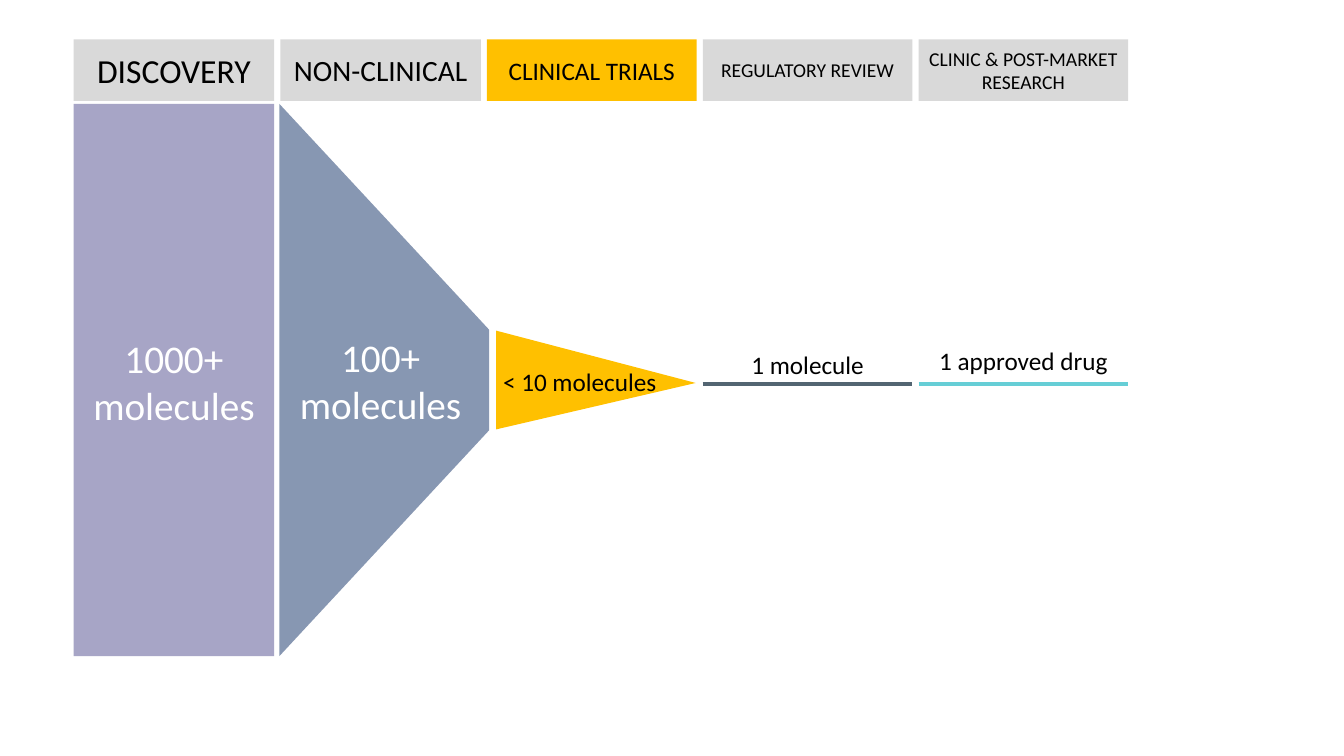
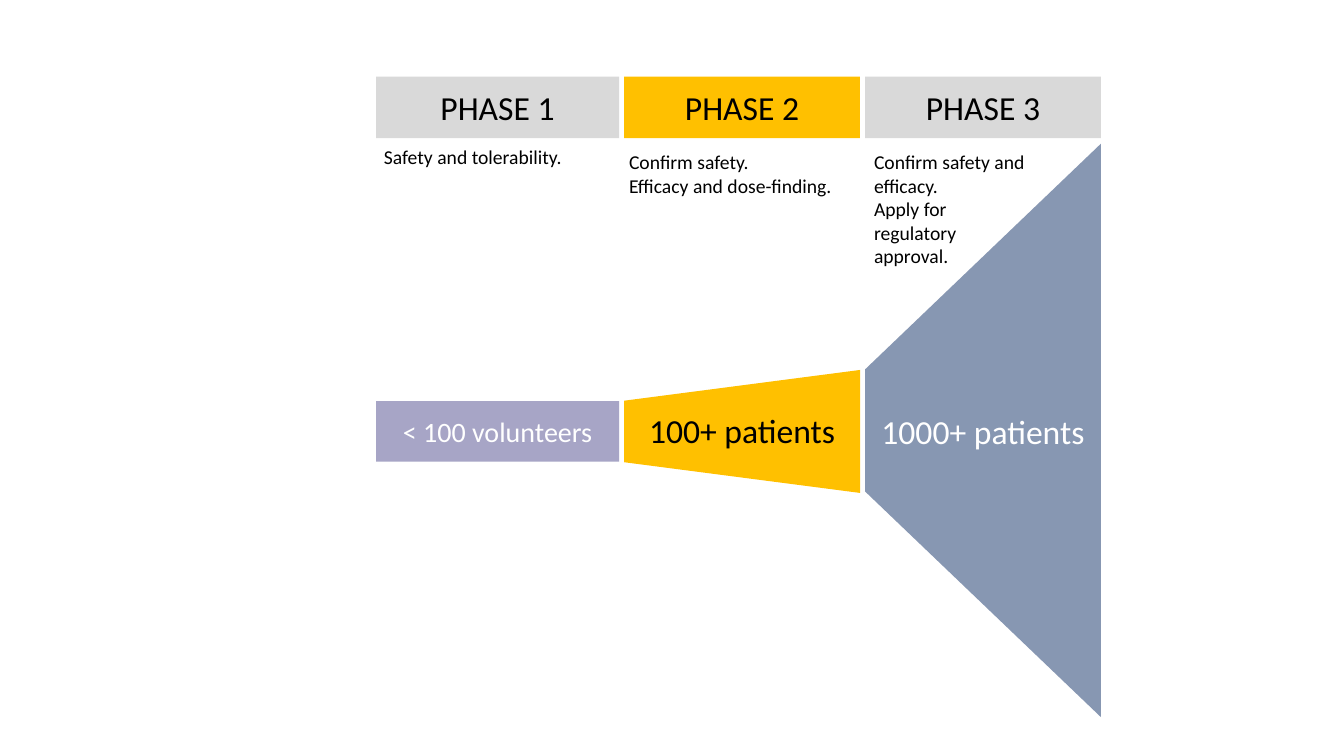
import pptx
import pptx.util
import pptx.dml.color
import pptx.enum.shapes
import pptx.enum.text

Inches = pptx.util.Inches
RGB = pptx.dml.color.RGBColor
SHAPE = pptx.enum.shapes.MSO_SHAPE
ALIGN = pptx.enum.text.PP_ALIGN
ANCHOR = pptx.enum.text.MSO_ANCHOR

BLACK = RGB(0x00, 0x00, 0x00)
WHITE = RGB(0xFF, 0xFF, 0xFF)
GREY = RGB(0xD9, 0xD9, 0xD9)
AMBER = RGB(0xFF, 0xC0, 0x00)
LILAC = RGB(0xA7, 0xA5, 0xC6)
BLUE = RGB(0x87, 0x97, 0xB2)
SLATE = RGB(0x53, 0x65, 0x72)
TEAL = RGB(0x66, 0xCE, 0xD6)
FONT = "Calibri"
HEADER_H = 0.61

# text, width, size, fill
STAGES = [
    ("DISCOVERY", 1.99, 24, GREY),
    ("NON-CLINICAL", 1.99, 21, GREY),
    ("CLINICAL TRIALS", 2.08, 18, AMBER),
    ("REGULATORY REVIEW", 2.08, 14, GREY),
    ("CLINIC & POST-MARKET RESEARCH", 2.08, 14, GREY),
]
STAGE_LABELS = [
    ("1000+\nmolecules", 28, WHITE, 3.78, 0),
    ("100+\nmolecules", 28, WHITE, 3.77, 0),
    ("< 10 molecules", 18, BLACK, 3.78, -0.12),
    ("1 molecule", 18, BLACK, 3.62, 0),
    ("1 approved drug", 18, BLACK, 3.58, 0),
]
PHASES = [
    ("PHASE 1", 2.41, 24, GREY),
    ("PHASE 2", 2.34, 24, AMBER),
    ("PHASE 3", 2.34, 24, GREY),
]
PHASE_LABELS = [
    ("< 100 volunteers", 20, WHITE, 4.28, 0),
    ("100+ patients", 24, BLACK, 4.27, 0),
    ("1000+ patients", 24, WHITE, 4.28, 0),
]
PHASE_NOTES = [
    ("Safety and tolerability.", 3.71, 1.39, 2.3, 0.34),
    ("Confirm safety.\nEfficacy and dose-finding.", 6.14, 1.44, 2.35, 0.57),
    ("Confirm safety and efficacy.\nApply for regulatory approval.", 8.57, 1.44, 1.72, 1.28),
]


def write(sp, text, size, color, align=ALIGN.CENTER, anchor=ANCHOR.MIDDLE, wrap=True):
    tf = sp.text_frame
    tf.text = text
    tf.word_wrap = wrap
    tf.vertical_anchor = anchor
    for p in tf.paragraphs:
        p.alignment = align
        for r in p.runs:
            r.font.name = FONT
            r.font.size = pptx.util.Pt(size)
            r.font.color.rgb = color


def add_block(s, kind, left, top, width, height, fill):
    sp = s.shapes.add_shape(kind, Inches(left), Inches(top), Inches(width), Inches(height))
    sp.shadow.inherit = False
    sp.fill.solid()
    sp.fill.fore_color.rgb = fill
    sp.line.fill.background()
    return sp


def add_wedge(s, kind, left, width, middle, height, turn, adj, fill):
    sp = add_block(s, kind, left + (width - height) / 2, middle - width / 2, height, width, fill)
    sp.rotation = turn
    sp.adjustments[0] = adj


def add_text(s, left, top, width, height):
    return s.shapes.add_textbox(Inches(left), Inches(top), Inches(width), Inches(height))


def add_headers(s, headers, left, top, gap):
    columns = []
    for text, width, size, fill in headers:
        sp = add_block(s, SHAPE.RECTANGLE, left, top, width, HEADER_H, fill)
        write(sp, text, size, BLACK)
        columns.append((left, width))
        left += width + gap
    return columns


def add_labels(s, labels, columns):
    for (text, size, color, middle, shift), (left, width) in zip(labels, columns):
        height = 0.5 * len(text.split("\n"))
        sp = add_text(s, left + shift, middle - height / 2, width, height)
        write(sp, text, size, color, wrap=False)


def add_rule(s, left, width, y, color):
    line = s.shapes.add_connector(pptx.enum.shapes.MSO_CONNECTOR.STRAIGHT,
                                  Inches(left), Inches(y), Inches(left + width), Inches(y))
    line.line.color.rgb = color
    line.line.width = pptx.util.Pt(2.5)
    line._element.spPr.append(pptx.oxml.parse_xml(
        '<a:effectLst xmlns:a="http://schemas.openxmlformats.org/drawingml/2006/main"/>'))


def build_pipeline(prs):
    s = prs.slides.add_slide(prs.slide_layouts[6])
    columns = add_headers(s, STAGES, 0.73, 0.39, 0.06)
    left, width = columns[0]
    add_block(s, SHAPE.RECTANGLE, left, 1.03, width, 5.48, LILAC)
    add_wedge(s, SHAPE.TRAPEZOID, 2.77, 2.08, 3.77, 5.48, 90, 2.24 / 2.08, BLUE)
    add_wedge(s, SHAPE.ISOSCELES_TRIANGLE, 4.92, 1.98, 3.77, 0.98, 90, 0.53, AMBER)
    for (left, width), color in zip(columns[3:], (SLATE, TEAL)):
        add_rule(s, left, width, 3.81, color)
    add_labels(s, STAGE_LABELS, columns)


def build_phases(prs):
    s = prs.slides.add_slide(prs.slide_layouts[6])
    columns = add_headers(s, PHASES, 3.73, 0.76, 0.05)
    first, second, third = columns
    add_block(s, SHAPE.RECTANGLE, first[0], 3.98, first[1], 0.6, LILAC)
    add_wedge(s, SHAPE.TRAPEZOID, *second, 4.28, 1.22, 270, 0.25, AMBER)
    add_wedge(s, SHAPE.TRAPEZOID, *third, 4.27, 5.69, 270, 2.24 / third[1], BLUE)
    add_labels(s, PHASE_LABELS, columns)
    for text, *box in PHASE_NOTES:
        write(add_text(s, *box), text, 14, BLACK, ALIGN.LEFT, ANCHOR.TOP)


def main():
    prs = pptx.Presentation()
    prs.slide_width = Inches(13.33)
    prs.slide_height = Inches(7.5)
    build_pipeline(prs)
    build_phases(prs)
    prs.save("out.pptx")


if __name__ == "__main__":
    main()
